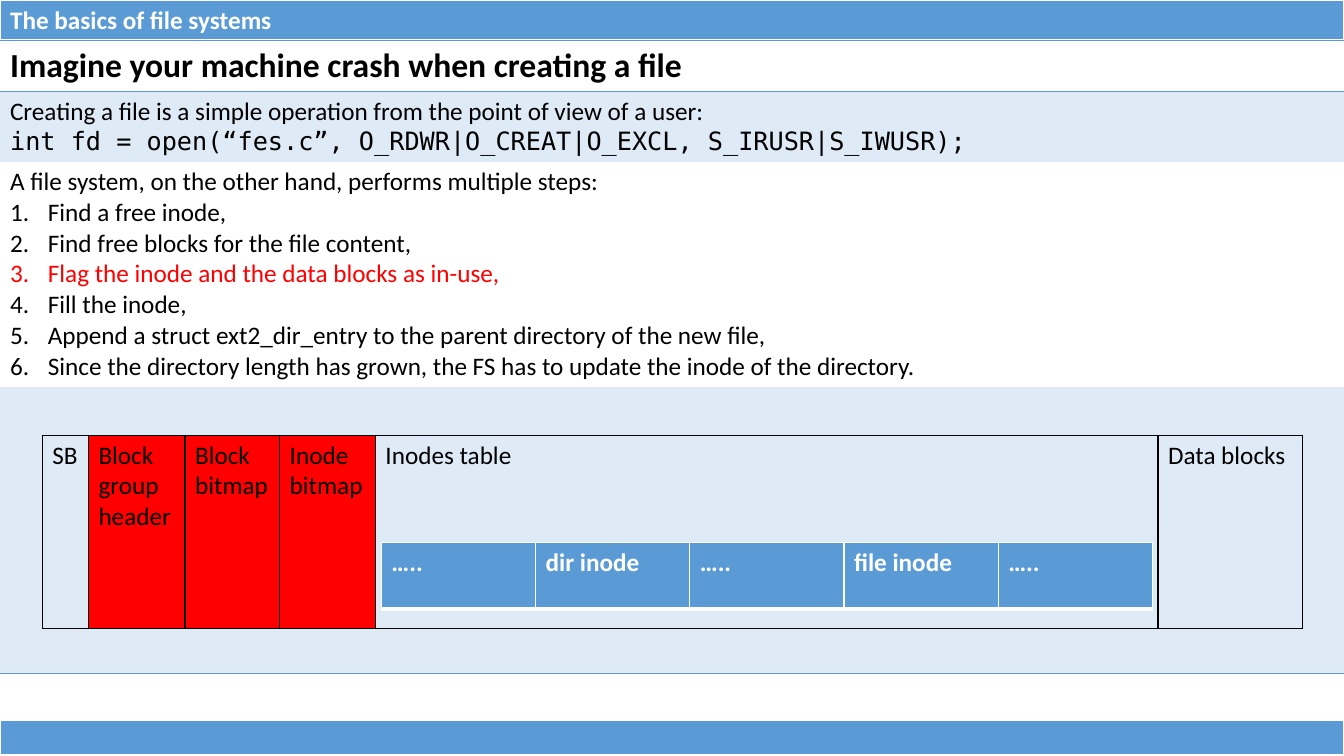
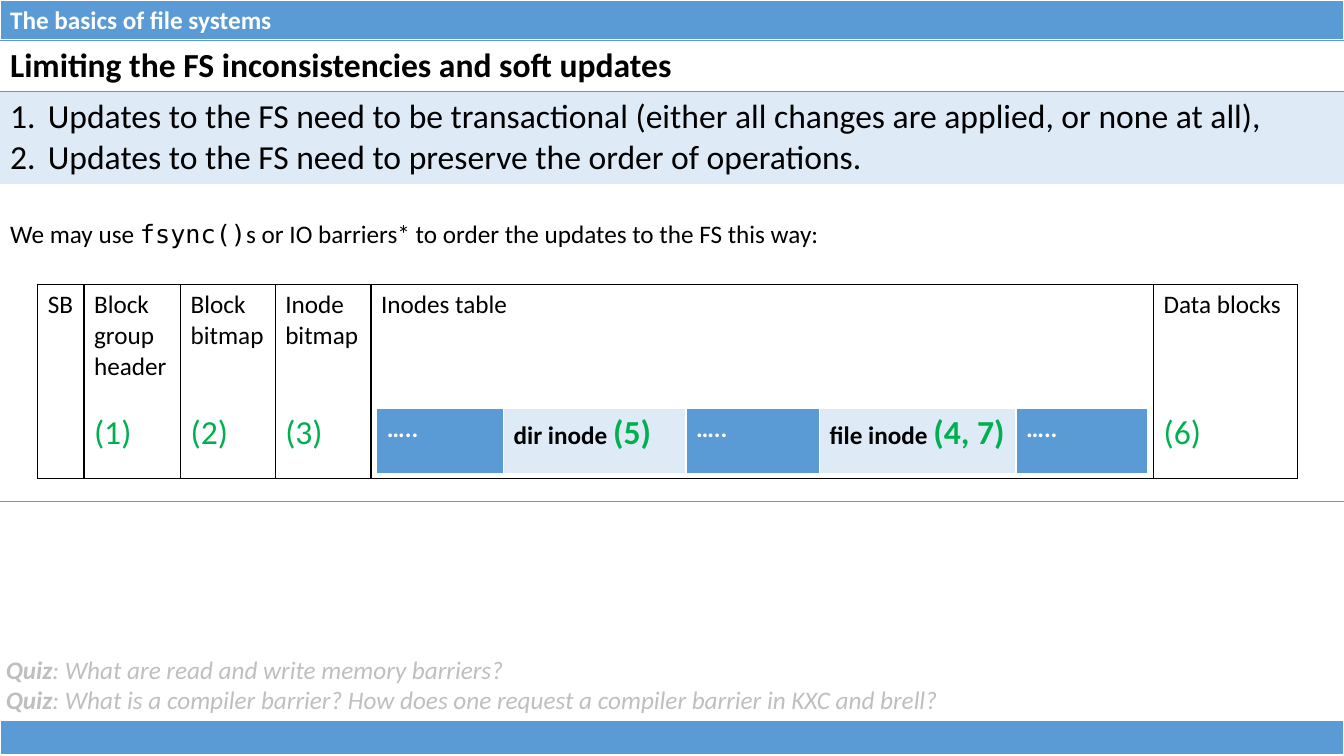
from dataclasses import dataclass, field, replace
import lxml.etree
import pptx
import pptx.dml.color
import pptx.oxml.ns
import pptx.util

Pt = pptx.util.Pt
qn = pptx.oxml.ns.qn


@dataclass(frozen=True)
class Theme:
    blue: str = "5B9BD5"
    pale: str = "DEEBF7"
    white: str = "FFFFFF"
    black: str = "000000"
    red: str = "FF0000"
    green: str = "00B050"
    grey: str = "BFBFBF"
    font: str = "Calibri"
    mono: str = "DejaVu Sans Mono"
    body: int = 18
    large: int = 24
    line: int = 22
    indent: int = 27
    width: int = 960
    height: int = 540
    band: float = 28.8
    footer_top: float = 514.8


THEME = Theme()


@dataclass(frozen=True)
class Span:
    text: str
    size: int = THEME.body
    color: str = THEME.black
    font: str = THEME.font
    bold: bool = False
    italic: bool = False


@dataclass(frozen=True)
class Para:
    spans: tuple
    numbered: bool = False
    space_before: float = 0


@dataclass(frozen=True)
class Cell:
    paras: tuple = ()
    fill: str = ""
    edges: dict = field(default_factory=dict)
    margin_top: float = 3.6
    margin_bottom: float = 3.6


WHITE_EDGES = {"L": (THEME.white, 1), "R": (THEME.white, 1),
               "T": (THEME.white, 1), "B": (THEME.white, 3)}
BLACK_EDGES = {side: (THEME.black, 1) for side in "LRTB"}
RULE = (THEME.blue, 1)
GROUP_COLUMNS = (33, 69, 67.6, 68.4, 559, 103)
GROUP_HEIGHT = 138.2
INODES_LEFT = 242.2
INODES_WIDTH = 550.8
INODES_HEIGHT = 47.5


def rgb(color):
    return pptx.dml.color.RGBColor.from_string(color)


def line(text, numbered=False, **style):
    return Para((Span(text, **style),), numbered)


def write_paras(frame, paras):
    for index, content in enumerate(paras):
        para = frame.paragraphs[0] if index == 0 else frame.add_paragraph()
        if content.space_before:
            para.space_before = Pt(content.space_before)
        if content.numbered:
            props = para._p.get_or_add_pPr()
            props.set("marL", str(Pt(THEME.indent)))
            props.set("indent", str(-Pt(THEME.indent)))
            number = lxml.etree.SubElement(props, qn("a:buAutoNum"))
            number.set("type", "arabicPeriod")
        for span in content.spans:
            run = para.add_run()
            run.text = span.text
            run.font.name = span.font
            run.font.size = Pt(span.size)
            run.font.bold = span.bold
            run.font.italic = span.italic
            run.font.color.rgb = rgb(span.color)


def draw_edges(cell, edges):
    props = cell._tc.get_or_add_tcPr()
    for index, side in enumerate("LRTB"):
        edge = lxml.etree.Element(qn("a:ln" + side))
        if side in edges:
            color, width = edges[side]
            edge.set("w", str(Pt(width)))
            fill = lxml.etree.SubElement(edge, qn("a:solidFill"))
            lxml.etree.SubElement(fill, qn("a:srgbClr")).set("val", color)
        else:
            lxml.etree.SubElement(edge, qn("a:noFill"))
        props.insert(index, edge)


def add_grid(page, left, top, columns, heights, rows):
    table = page.shapes.add_table(len(heights), len(columns), Pt(left), Pt(top),
                                  Pt(sum(columns)), Pt(sum(heights))).table
    table.first_row = table.horz_banding = False
    for column, width in zip(table.columns, columns):
        column.width = Pt(width)
    for row, height, contents in zip(table.rows, heights, rows):
        row.height = Pt(height)
        for cell, content in zip(row.cells, contents):
            cell.margin_top = Pt(content.margin_top)
            cell.margin_bottom = Pt(content.margin_bottom)
            if content.fill:
                cell.fill.solid()
                cell.fill.fore_color.rgb = rgb(content.fill)
            else:
                cell.fill.background()
            draw_edges(cell, content.edges)
            write_paras(cell.text_frame, content.paras)


def add_band(page, top, height, paras=()):
    margin = 3.6 if paras else 0
    cell = Cell(paras, THEME.blue, WHITE_EDGES, margin, margin)
    add_grid(page, 0, top, [THEME.width], [height], [[cell]])


def add_page(deck, title, heights, sections):
    page = deck.slides.add_slide(deck.slide_layouts[6])
    heading = line("The basics of file systems", color=THEME.white, bold=True)
    add_band(page, 0, THEME.band, (heading,))
    add_band(page, THEME.footer_top, THEME.height - THEME.footer_top)
    title_cell = Cell((line(title, size=THEME.large, bold=True),),
                      edges={"T": RULE, "B": RULE})
    first, *middle, last = sections
    cells = [title_cell, replace(first, edges={"T": RULE}), *middle,
             replace(last, edges={"B": RULE})]
    add_grid(page, 0, THEME.band, [THEME.width], heights, [[cell] for cell in cells])
    return page


def group_cell(label, lines=1, step="", fill=""):
    paras = (line(label),)
    if step:
        mark = Span(step, THEME.large, THEME.green)
        paras += (Para((mark,), space_before=(4 - lines) * THEME.line),)
    return Cell(paras, fill, BLACK_EDGES)


def inode_cell(label, step=""):
    if step:
        spans = (Span(label + " ", bold=True),
                 Span(step, THEME.large, THEME.green, bold=True))
        return Cell((Para(spans),), THEME.pale, WHITE_EDGES)
    return Cell((line(label, color=THEME.white, bold=True),), THEME.blue, WHITE_EDGES)


def add_block_group(page, left, top, cells, inodes_top, inode_columns, inodes):
    add_grid(page, left, top, GROUP_COLUMNS, [GROUP_HEIGHT], [cells])
    add_grid(page, left + INODES_LEFT, inodes_top, inode_columns, [INODES_HEIGHT], [inodes])


def add_quiz(page, questions):
    box = page.shapes.add_textbox(Pt(-2.9), Pt(463.7), Pt(THEME.width), Pt(51))
    box.text_frame.word_wrap = True
    style = Span("", color=THEME.grey, italic=True)
    write_paras(box.text_frame, [
        Para((replace(style, text="Quiz", bold=True),
              replace(style, text=": " + question)))
        for question in questions])


def build_crash_page(deck):
    steps = [
        "Find a free inode,",
        "Find free blocks for the file content,",
        "Flag the inode and the data blocks as in-use,",
        "Fill the inode,",
        "Append a struct ext2_dir_entry to the parent directory of the new file,",
        "Since the directory length has grown, the FS has to update the inode of the directory.",
    ]
    operation = (
        line("Creating a file is a simple operation from the point of view of a user:"),
        line("int fd = open(“fes.c”, O_RDWR|O_CREAT|O_EXCL, S_IRUSR|S_IWUSR);",
             font=THEME.mono),
    )
    procedure = (line("A file system, on the other hand, performs multiple steps:"),
                 *(line(step, True, color=THEME.red if "Flag" in step else THEME.black)
                   for step in steps))
    page = add_page(deck, "Imagine your machine crash when creating a file",
                    [36.5, 49.5, 161.2, 204.8],
                    [Cell(operation, THEME.pale), Cell(procedure), Cell(fill=THEME.pale)])
    cells = [group_cell("SB"),
             *(group_cell(label, fill=THEME.red) for label in
               ("Block group header", "Block bitmap", "Inode bitmap")),
             group_cell("Inodes table"), group_cell("Data blocks")]
    inodes = [inode_cell(label) for label in
              ("…..", "dir inode", "…..", "file inode", "…..")]
    add_block_group(page, 30.2, 310.8, cells, 387.4, [INODES_WIDTH / 5] * 5, inodes)


def build_updates_page(deck):
    rules = tuple(line(text, True, size=THEME.large) for text in (
        "Updates to the FS need to be transactional (either all changes are applied, or none at all),",
        "Updates to the FS need to preserve the order of operations."))
    ordering = Para((
        Span("We may use "), Span("fsync()", font=THEME.mono),
        Span("s or IO barriers* to order the updates to the FS this way:")))
    page = add_page(deck, "Limiting the FS inconsistencies and soft updates",
                    [36.5, 65.5, 227],
                    [Cell(rules, THEME.pale),
                     Cell((ordering,), margin_top=3.6 + THEME.line)])
    cells = [group_cell("SB"), group_cell("Block group header", 3, "(1)"),
             group_cell("Block bitmap", 2, "(2)"), group_cell("Inode bitmap", 2, "(3)"),
             group_cell("Inodes table"), group_cell("Data blocks", 1, "(6)")]
    inodes = [inode_cell("….."), inode_cell("dir inode", "(5)"), inode_cell("….."),
              inode_cell("file inode", "(4, 7)"), inode_cell("…..")]
    add_block_group(page, 27, 203.5, cells, 291.4, [90.5, 130.3, 95.5, 140.3, 94.2], inodes)
    add_quiz(page, [
        "What are read and write memory barriers?",
        "What is a compiler barrier? How does one request a compiler barrier in KXC and brell?"])


def main():
    deck = pptx.Presentation()
    deck.slide_width = Pt(THEME.width)
    deck.slide_height = Pt(THEME.height)
    build_crash_page(deck)
    build_updates_page(deck)
    deck.save("out.pptx")


if __name__ == "__main__":
    main()
